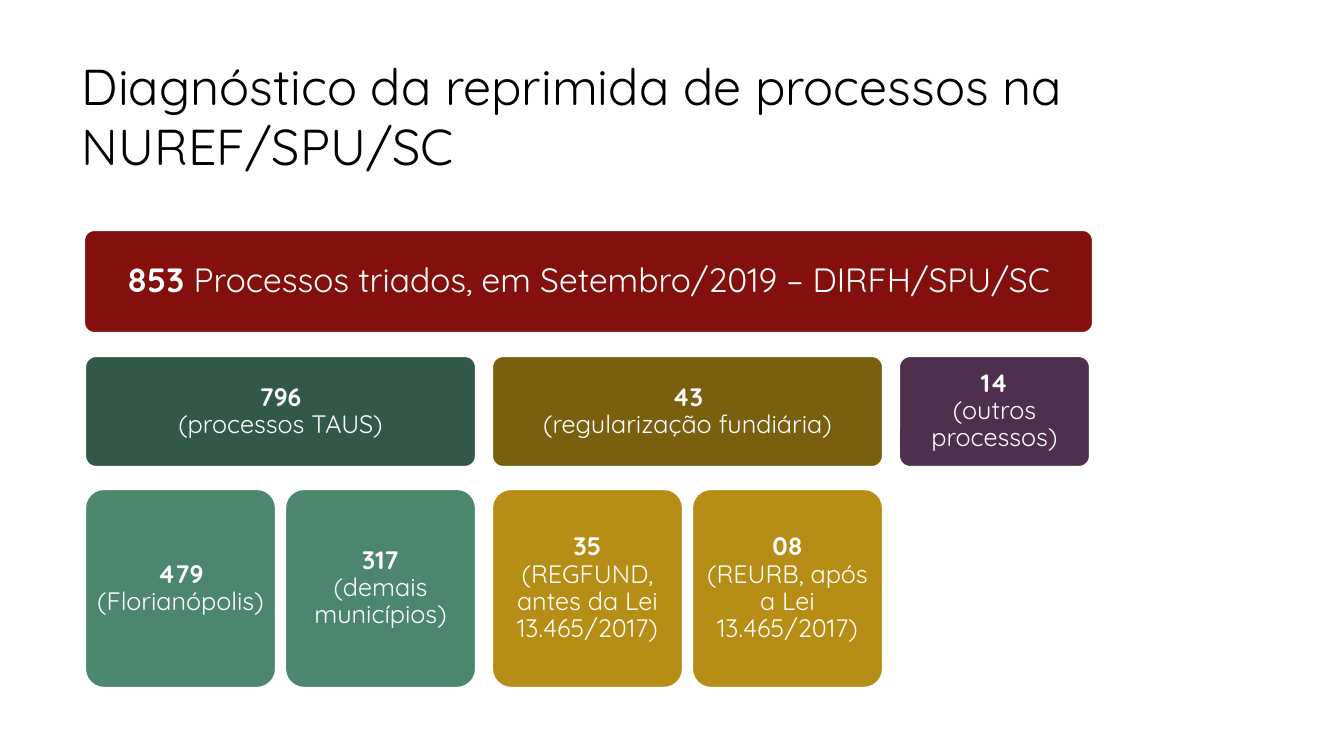
"""Build the slide that breaks down the 853 screened processes."""
from pptx import Presentation
from pptx.dml.color import RGBColor
from pptx.enum.shapes import MSO_SHAPE
from pptx.enum.text import MSO_ANCHOR, MSO_AUTO_SIZE, PP_ALIGN
from pptx.util import Emu, Pt

ROUNDED = MSO_SHAPE.ROUNDED_RECTANGLE
TOP, MIDDLE = MSO_ANCHOR.TOP, MSO_ANCHOR.MIDDLE
LEFT, CENTER = PP_ALIGN.LEFT, PP_ALIGN.CENTER
NO_AUTOFIT = MSO_AUTO_SIZE.NONE

SLIDE_WIDTH, SLIDE_HEIGHT = 1344, 756
EMU_PER_PX = 12192000 / SLIDE_WIDTH
FONT = "Quicksand"

GROUP_LEFT, GROUP_GAP = 85, 16
LEAF_WIDTH, LEAF_GAP = 191, 9
GROUP_TOP, GROUP_HEIGHT = 356, 111
LEAF_TOP, LEAF_HEIGHT = 489, 199

GROUPS = [
    ("796", "(processos TAUS)", "325948", "4B866D",
     [("479", "(Florianópolis)"), ("317", "(demais municípios)")]),
    ("43", "(regularização fundiária)", "795F0E", "B68E15",
     [("35", "(REGFUND, antes da Lei 13.465/2017)"),
      ("08", "(REURB, após a Lei 13.465/2017)")]),
    ("14", "(outros processos)", "4F2F4E", None, []),
]


def px(length):
    """Turn a length in px into EMU."""
    return Emu(round(length * EMU_PER_PX))


def color(hex_string):
    """Turn a hex string into a colour."""
    return RGBColor.from_string(hex_string)


def add_text(paragraph, text, size=18, bold=False, ink="FFFFFF", align=CENTER, spacing=0.9):
    """Append a formatted run to a paragraph."""
    paragraph.alignment = align
    paragraph.line_spacing = spacing
    run = paragraph.add_run()
    run.text = text
    run.font.name = FONT
    run.font.size = Pt(size)
    run.font.bold = bold
    run.font.color.rgb = color(ink)


def place(box, left, top, width, height):
    """Move and size a shape in px."""
    box.left, box.top, box.width, box.height = map(px, (left, top, width, height))


def set_frame(frame, anchor, side, vertical):
    """Set wrapping, anchor and insets of a text frame."""
    frame.word_wrap = True
    frame.auto_size = NO_AUTOFIT
    frame.vertical_anchor = anchor
    frame.margin_left = frame.margin_right = px(side)
    frame.margin_top = frame.margin_bottom = px(vertical)


def add_card(slide, left, top, width, height, fill):
    """Add a rounded card and return its text frame."""
    card = slide.shapes.add_shape(ROUNDED, *map(px, (left, top, width, height)))
    card.adjustments[0] = 0.1
    card.shadow.inherit = False
    card.fill.solid()
    card.fill.fore_color.rgb = color(fill)
    card.line.color.rgb = color("FFFFFF")
    card.line.width = Pt(1.5)
    set_frame(card.text_frame, MIDDLE, 5, 5)
    return card.text_frame


def add_count_card(slide, left, top, width, height, fill, count, label):
    """Add a card with a bold count above its label."""
    frame = add_card(slide, left, top, width, height, fill)
    add_text(frame.paragraphs[0], count, bold=True)
    add_text(frame.add_paragraph(), label)


def add_title(slide, text):
    """Fill and place the title placeholder."""
    title = slide.shapes.title
    place(title, 72, 50, 1036, 154)
    set_frame(title.text_frame, TOP, 10, 5)
    add_text(title.text_frame.paragraphs[0], text, size=36, ink="000000",
             align=LEFT, spacing=1.0)


def add_total(slide):
    """Add the bar with the overall total."""
    total = add_card(slide, 84, 230, 1009, 103, "84100E").paragraphs[0]
    add_text(total, "853 ", size=24, bold=True)
    add_text(total, "Processos triados, em Setembro/2019 – DIRFH/SPU/SC", size=24)


def add_groups(slide):
    """Add each group card with its leaf cards below."""
    left = GROUP_LEFT
    for count, label, fill, leaf_fill, leaves in GROUPS:
        columns = max(1, len(leaves))
        width = columns * LEAF_WIDTH + (columns - 1) * LEAF_GAP
        add_count_card(slide, left, GROUP_TOP, width, GROUP_HEIGHT, fill, count, label)
        for column, (leaf_count, leaf_label) in enumerate(leaves):
            leaf_left = left + column * (LEAF_WIDTH + LEAF_GAP)
            add_count_card(slide, leaf_left, LEAF_TOP, LEAF_WIDTH, LEAF_HEIGHT,
                           leaf_fill, leaf_count, leaf_label)
        left += width + GROUP_GAP


def main():
    """Build and save the presentation."""
    deck = Presentation()
    deck.slide_width, deck.slide_height = px(SLIDE_WIDTH), px(SLIDE_HEIGHT)
    slide = deck.slides.add_slide(deck.slide_layouts[5])
    add_title(slide, "Diagnóstico da reprimida de processos na NUREF/SPU/SC")
    add_total(slide)
    add_groups(slide)
    deck.save("out.pptx")


if __name__ == "__main__":
    main()
